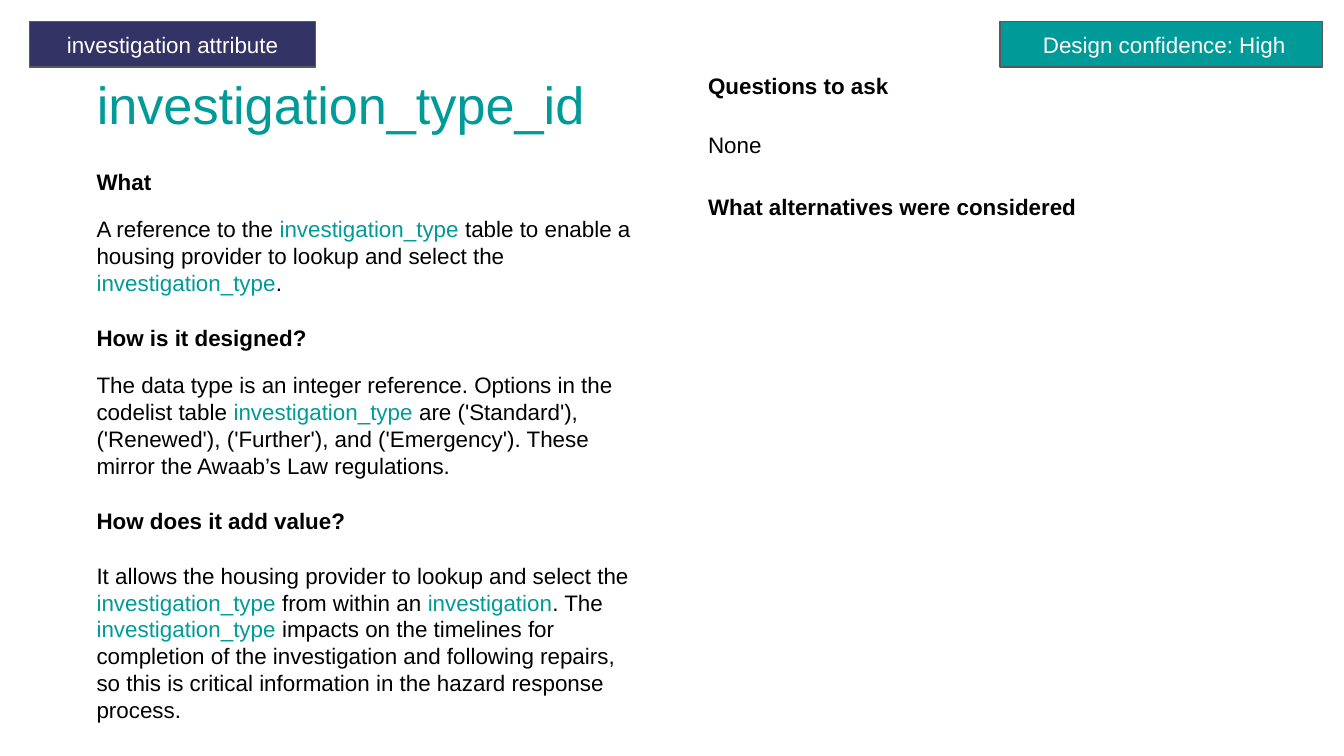
import pptx
import pptx.dml.color
import pptx.enum.shapes
import pptx.enum.text
import pptx.util

Inches = pptx.util.Inches
Pt = pptx.util.Pt
ALIGN = pptx.enum.text.PP_ALIGN
ANCHOR = pptx.enum.text.MSO_ANCHOR

TEAL = "009B99"
NAVY = "333366"
GREY = "595959"
BLACK = "000000"
WHITE = "FFFFFF"


def rgb(hex_colour):
    return pptx.dml.color.RGBColor.from_string(hex_colour)


def write(frame, text, size=12, colour=BLACK, bold=False, align=ALIGN.LEFT,
          anchor=ANCHOR.TOP, before=0, spacing=1.0):
    """Add one paragraph to the frame; words between backticks turn teal."""
    frame.word_wrap = True
    frame.auto_size = pptx.enum.text.MSO_AUTO_SIZE.NONE
    frame.vertical_anchor = anchor
    frame.margin_left = frame.margin_right = Inches(0.1)
    frame.margin_top = frame.margin_bottom = Inches(0.1)
    paragraph = frame.add_paragraph() if frame.text else frame.paragraphs[0]
    paragraph.alignment = align
    paragraph.space_before = Pt(before)
    paragraph.line_spacing = spacing
    for index, part in enumerate(text.split("`")):
        run = paragraph.add_run()
        run.text = part
        run.font.name = "Arial"
        run.font.size = Pt(size)
        run.font.bold = bold
        run.font.color.rgb = rgb(TEAL if index % 2 else colour)


deck = pptx.Presentation()
deck.slide_width = Inches(10)
deck.slide_height = deck.slide_width * 9 // 16
slide = deck.slides.add_slide(deck.slide_layouts[5])

attribute_name = slide.shapes.title
attribute_name.left, attribute_name.top = Inches(0.62), Inches(0.44)
attribute_name.width, attribute_name.height = Inches(4.68), Inches(0.63)
write(attribute_name.text_frame, "investigation_type_id", size=28, colour=TEAL)

# Each paragraph: text, bold, space before, line spacing
description = [
    ("What", True, 0, 1.0),
    ("A reference to the `investigation_type` table to enable a housing provider "
     "to lookup and select the `investigation_type`.", False, 11, 1.0),
    ("How is it designed?", True, 15, 1.0),
    ("The data type is an integer reference. Options in the codelist table "
     "`investigation_type` are ('Standard'), ('Renewed'), ('Further'), and "
     "('Emergency'). These mirror the Awaab’s Law regulations.", False, 11, 1.0),
    ("How does it add value?", True, 15, 1.0),
    ("It allows the housing provider to lookup and select the `investigation_type` "
     "from within an `investigation`. The `investigation_type` impacts on the "
     "timelines for completion of the investigation and following repairs, so this "
     "is critical information in the hazard response process.", False, 15, 1.0),
]
questions = [
    ("Questions to ask", True, 0, 1.0),
    ("None", False, 15, 1.15),
    ("What alternatives were considered", True, 16.5, 1.15),
]
for left, top, height, column in [(0.62, 1.15, 3.44, description),
                                  (5.17, 0.44, 3.33, questions)]:
    box = slide.shapes.add_textbox(Inches(left), Inches(top), Inches(4.19), Inches(height))
    for text, bold, before, spacing in column:
        write(box.text_frame, text, bold=bold, before=before, spacing=spacing)

for left, width, fill, label in [(7.44, 2.4, TEAL, " Design confidence: High"),
                                 (0.22, 2.13, NAVY, "investigation attribute")]:
    tag = slide.shapes.add_shape(pptx.enum.shapes.MSO_SHAPE.RECTANGLE, Inches(left),
                                 Inches(0.16), Inches(width), Inches(0.34))
    tag.shadow.inherit = False
    tag.fill.solid()
    tag.fill.fore_color.rgb = rgb(fill)
    tag.line.color.rgb = rgb(GREY)
    tag.line.width = Pt(0.75)
    write(tag.text_frame, label, colour=WHITE, align=ALIGN.CENTER, anchor=ANCHOR.MIDDLE)

deck.save("out.pptx")
